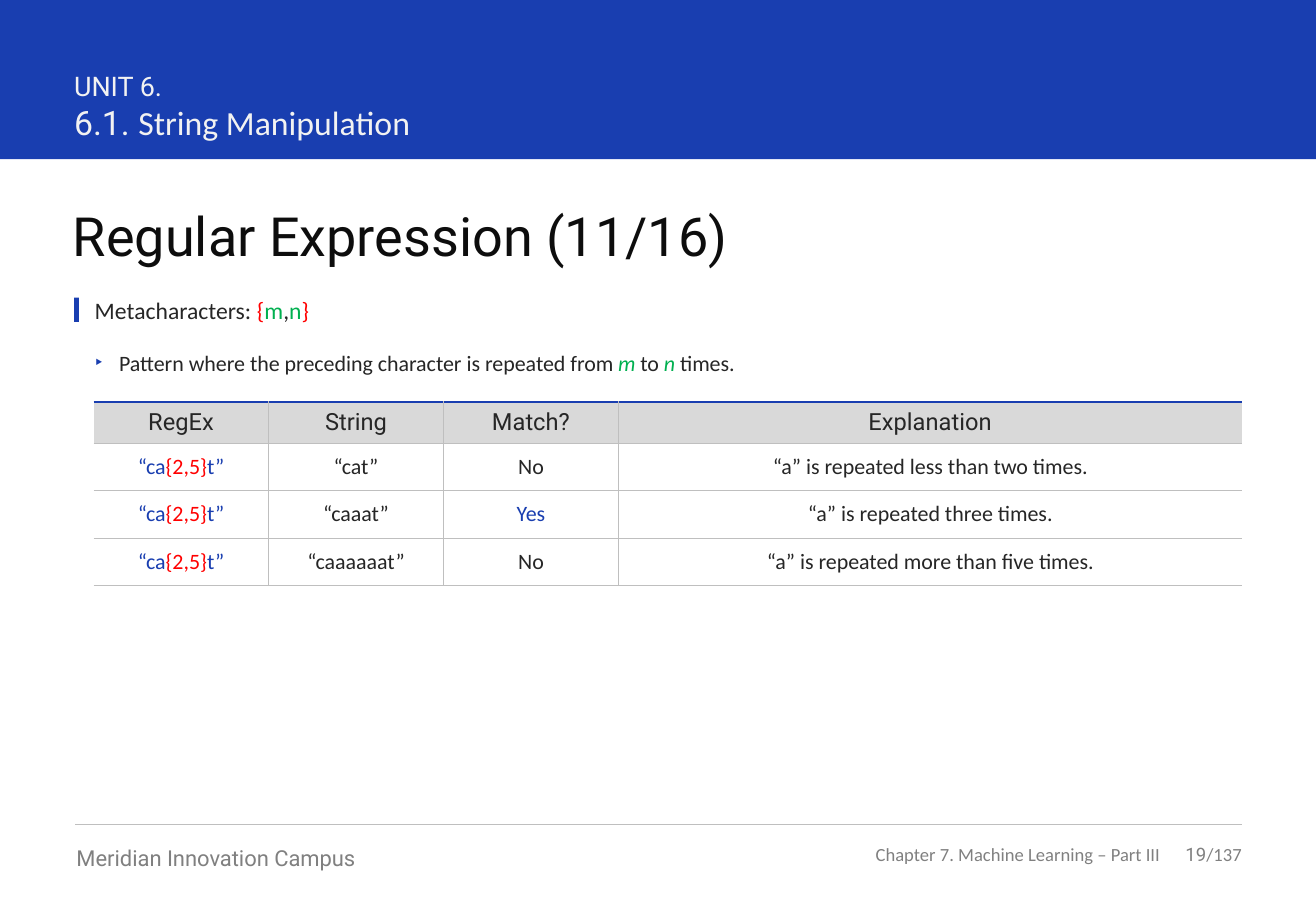
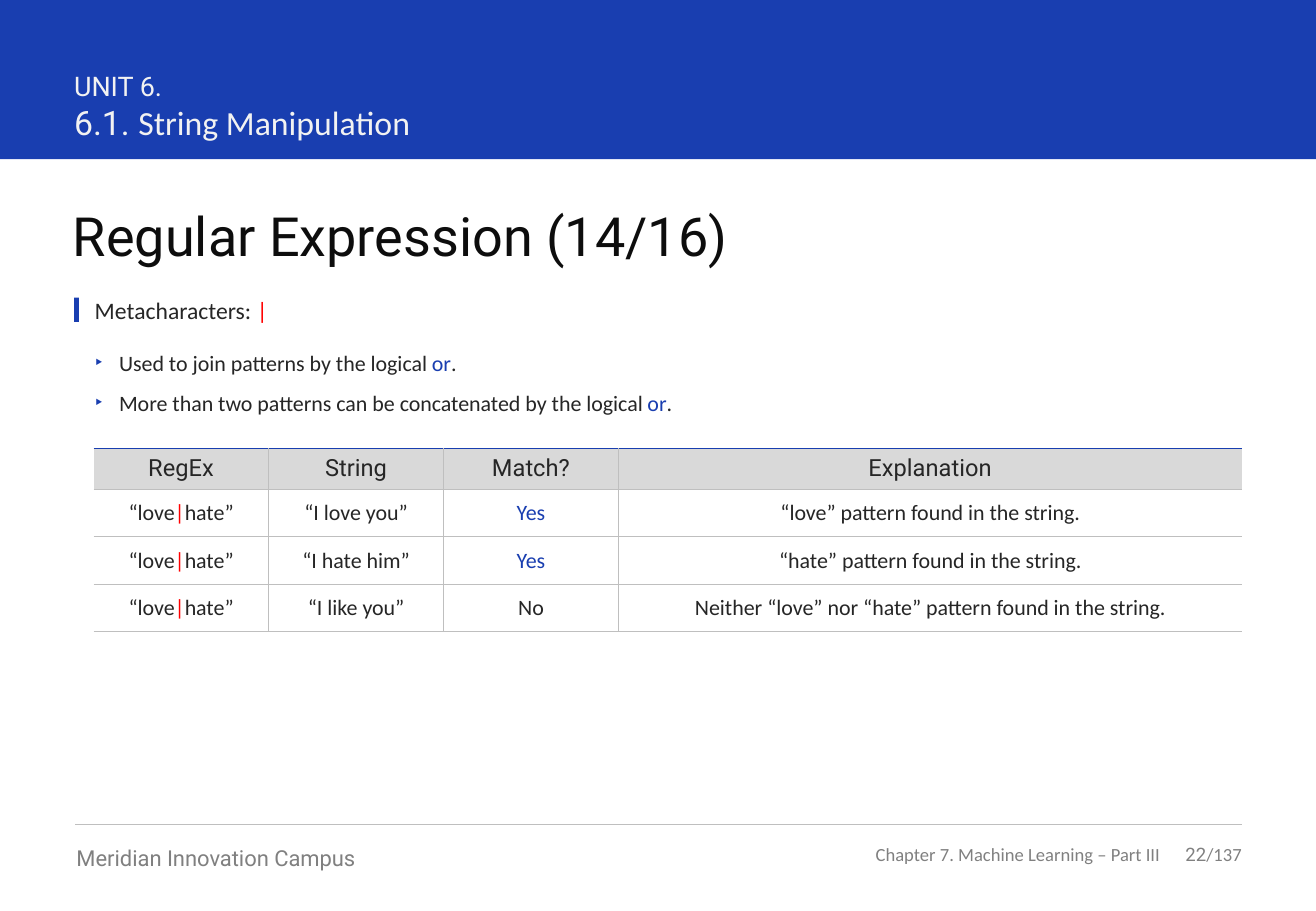
from dataclasses import dataclass

from lxml import etree
from pptx import Presentation
from pptx import util as u
from pptx.dml.color import RGBColor
from pptx.enum import shapes, text
from pptx.oxml import ns


@dataclass(frozen=True)
class Theme:
    blue: str = "193EB0"
    red: str = "FF0000"
    green: str = "00B050"
    ink: str = "262626"
    title: str = "0D0D0D"
    pale: str = "F2F2F2"
    muted: str = "808080"
    rule: str = "BFBFBF"
    header: str = "D9D9D9"
    white: str = "FFFFFF"
    sans: str = "Calibri"
    display: str = "Roboto"
    unit_size: int = 16
    section_size: int = 20
    title_size: int = 32
    heading_size: int = 14
    body_size: int = 13
    footer_size: int = 11


T = Theme()
LEFT, RIGHT = 0.62, 10.22
COLUMNS = (1.44, 1.44, 1.44, 5.13)
HEADER_HEIGHT, ROW_HEIGHT = 0.34, 0.39
TABLE_HEAD = ("RegEx", "String", "Match?", "Explanation")
YES = [("Yes", T.blue)]
REPEAT = [("“ca", T.blue), ("{2,5}", T.red), ("t”", T.blue)]
EITHER = ["“love", ("|", T.red), "hate”"]
OR = ("or", T.blue)


def rgb(value):
    return RGBColor.from_string(value)


def add_xml(parent, tag, **attributes):
    return etree.SubElement(parent, ns.qn(tag), attributes)


def write(p, parts, size, font=T.sans, color=T.ink):
    """Fill a paragraph; a part is plain text or (text, colour[, italic])."""
    for part in [parts] if isinstance(parts, str) else parts:
        content, shade, italic = part, color, False
        if not isinstance(part, str):
            content, shade, *rest = part
            italic = bool(rest)
        r = p.add_run()
        r.text = content
        r.font.size, r.font.name, r.font.italic = u.Pt(size), font, italic
        r.font.color.rgb = rgb(shade)


def prepare(tf, margins=(0, 0, 0, 0), wrap=True):
    tf.word_wrap = wrap
    tf.auto_size = text.MSO_AUTO_SIZE.NONE
    tf.vertical_anchor = text.MSO_ANCHOR.TOP
    (tf.margin_left, tf.margin_top,
     tf.margin_right, tf.margin_bottom) = map(u.Inches, margins)
    return tf


def place(sp, *box):
    sp.left, sp.top, sp.width, sp.height = map(u.Inches, box)


def set_borders(cell, edges):
    """Draw the edges given as {side: (colour, points)} and hide the others."""
    tc_pr = cell._tc.get_or_add_tcPr()
    for side in "LRTB":
        color, width = edges.get(side, (None, 0))
        ln = add_xml(tc_pr, f"a:ln{side}", w=str(u.Pt(width)))
        if color:
            add_xml(add_xml(ln, "a:solidFill"), "a:srgbClr", val=color)
        else:
            add_xml(ln, "a:noFill")


class Deck:
    def __init__(self):
        self.prs = Presentation()
        self.prs.slide_width = u.Inches(10.83)
        self.prs.slide_height = u.Inches(7.5)
        self.s = None

    def new_slide(self, page):
        """Start a slide with the shared band and footer."""
        self.s = self.prs.slides.add_slide(self.prs.slide_layouts[1])
        self.block(0, 0, 10.83, 1.31)
        tf = self.text_box(0.61, 0.57, 6.37, 0.61)
        write(tf.paragraphs[0], "UNIT 6.", T.unit_size, T.display, T.pale)
        p = tf.add_paragraph()
        write(p, "6.1. ", T.section_size, T.display, T.pale)
        write(p, "String Manipulation", T.section_size, color=T.pale)
        self.footer(page)

    def footer(self, page):
        self.rule(6.79)
        tf = self.text_box(0.63, 6.95, 3.16, 0.22)
        write(tf.paragraphs[0], "Meridian Innovation Campus", T.body_size,
              T.display, T.muted)
        chapter = self.text_box(7, 6.94, 2.55, 0.19, wrap=False)
        number = self.text_box(9.55, 6.94, 0.67, 0.19)
        for tf in (chapter, number):
            tf.vertical_anchor = text.MSO_ANCHOR.MIDDLE
            tf.paragraphs[0].alignment = text.PP_ALIGN.RIGHT
        write(chapter.paragraphs[0], "Chapter 7. Machine Learning – Part III",
              T.footer_size, color=T.muted)
        p = number.paragraphs[0]
        write(p, str(page), T.footer_size, T.display, T.muted)
        write(p, "/137", T.footer_size, color=T.muted)

    def block(self, *box):
        sp = self.s.shapes.add_shape(shapes.MSO_SHAPE.RECTANGLE,
                                     *map(u.Inches, box))
        sp.shadow.inherit = False
        sp.fill.solid()
        sp.fill.fore_color.rgb = rgb(T.blue)
        sp.line.fill.background()

    def rule(self, y):
        line = self.s.shapes.add_connector(
            shapes.MSO_CONNECTOR.STRAIGHT,
            *map(u.Inches, (LEFT, y, RIGHT, y)))
        line.line.color.rgb = rgb(T.rule)
        line.line.width = u.Pt(0.5)
        add_xml(line._element.spPr, "a:effectLst")

    def text_box(self, *box, wrap=True):
        sp = self.s.shapes.add_textbox(*map(u.Inches, box))
        return prepare(sp.text_frame, wrap=wrap)

    def title(self, content):
        sp = self.s.shapes.title
        place(sp, 0.6, 1.67, 9.62, 0.54)
        p = prepare(sp.text_frame).paragraphs[0]
        p.alignment = text.PP_ALIGN.LEFT
        write(p, content, T.title_size, T.display, T.title)

    def heading(self, parts):
        self.block(0.61, 2.45, 0.04, 0.2)
        tf = self.text_box(0.78, 2.44, 9.44, 0.24)
        write(tf.paragraphs[0], parts, T.heading_size)

    def bullets(self, items):
        sp = self.s.placeholders[1]
        place(sp, 0.78, 2.8, 9.44, 0.06 + 0.32 * len(items))
        tf = prepare(sp.text_frame, (0, 0.08, 0.16, 0.08))
        for i, parts in enumerate(items):
            p = tf.add_paragraph() if i else tf.paragraphs[0]
            p_pr = p._p.get_or_add_pPr()
            p_pr.set("marL", str(u.Inches(0.2)))
            p_pr.set("indent", str(u.Inches(-0.2)))
            add_xml(add_xml(p_pr, "a:buClr"), "a:srgbClr", val=T.blue)
            add_xml(p_pr, "a:buChar", char="‣")
            p.space_before, p.space_after = u.Pt(0), u.Pt(8)
            write(p, parts, T.body_size)

    def table(self, top, rows):
        height = HEADER_HEIGHT + ROW_HEIGHT * len(rows)
        frame = self.s.shapes.add_table(
            len(rows) + 1, len(COLUMNS),
            *map(u.Inches, (0.77, top, sum(COLUMNS), height)))
        table = frame.table
        table.first_row = table.horz_banding = False
        for column, width in zip(table.columns, COLUMNS):
            column.width = u.Inches(width)
        for i, row in enumerate((TABLE_HEAD, *rows)):
            table.rows[i].height = u.Inches(ROW_HEIGHT if i else HEADER_HEIGHT)
            for j, parts in enumerate(row):
                self.cell(table.cell(i, j), parts, i == 0,
                          j == 0, j == len(COLUMNS) - 1)

    def cell(self, cell, parts, is_header, is_first, is_last):
        thin = (T.rule, 0.5)
        edges = {"T": (T.blue, 1) if is_header else thin, "B": thin}
        if not is_first:
            edges["L"] = thin
        if not is_last:
            edges["R"] = thin
        set_borders(cell, edges)
        cell.fill.solid()
        cell.fill.fore_color.rgb = rgb(T.header if is_header else T.white)
        cell.vertical_anchor = text.MSO_ANCHOR.MIDDLE
        p = cell.text_frame.paragraphs[0]
        p.alignment = text.PP_ALIGN.CENTER
        if is_header:
            write(p, parts, T.heading_size, T.display)
        else:
            write(p, parts, T.body_size)


def main():
    deck = Deck()

    deck.new_slide(19)
    deck.title("Regular Expression (11/16)")
    deck.heading(["Metacharacters: ", ("{", T.red), ("m", T.green), ",",
                  ("n", T.green), ("}", T.red)])
    deck.bullets([
        ["Pattern where the preceding character is repeated from ",
         ("m", T.green, True), " to", (" n ", T.green, True), "times."],
    ])
    deck.table(3.31, [
        (REPEAT, "“cat”", "No", "“a” is repeated less than two times."),
        (REPEAT, "“caaat”", YES, "“a” is repeated three times."),
        (REPEAT, "“caaaaaat”", "No", "“a” is repeated more than five times."),
    ])

    deck.new_slide(22)
    deck.title("Regular Expression (14/16)")
    deck.heading(["Metacharacters: ", ("|", T.red)])
    deck.bullets([
        ["Used to join patterns by the logical ", OR, "."],
        ["More than two patterns can be concatenated by the logical ", OR, "."],
    ])
    deck.table(3.69, [
        (EITHER, "“I love you”", YES, "“love” pattern found in the string."),
        (EITHER, "“I hate him”", YES, "“hate” pattern found in the string."),
        (EITHER, "“I like you”", "No",
         "Neither “love” nor “hate” pattern found in the string."),
    ])

    deck.prs.save("out.pptx")


if __name__ == "__main__":
    main()
